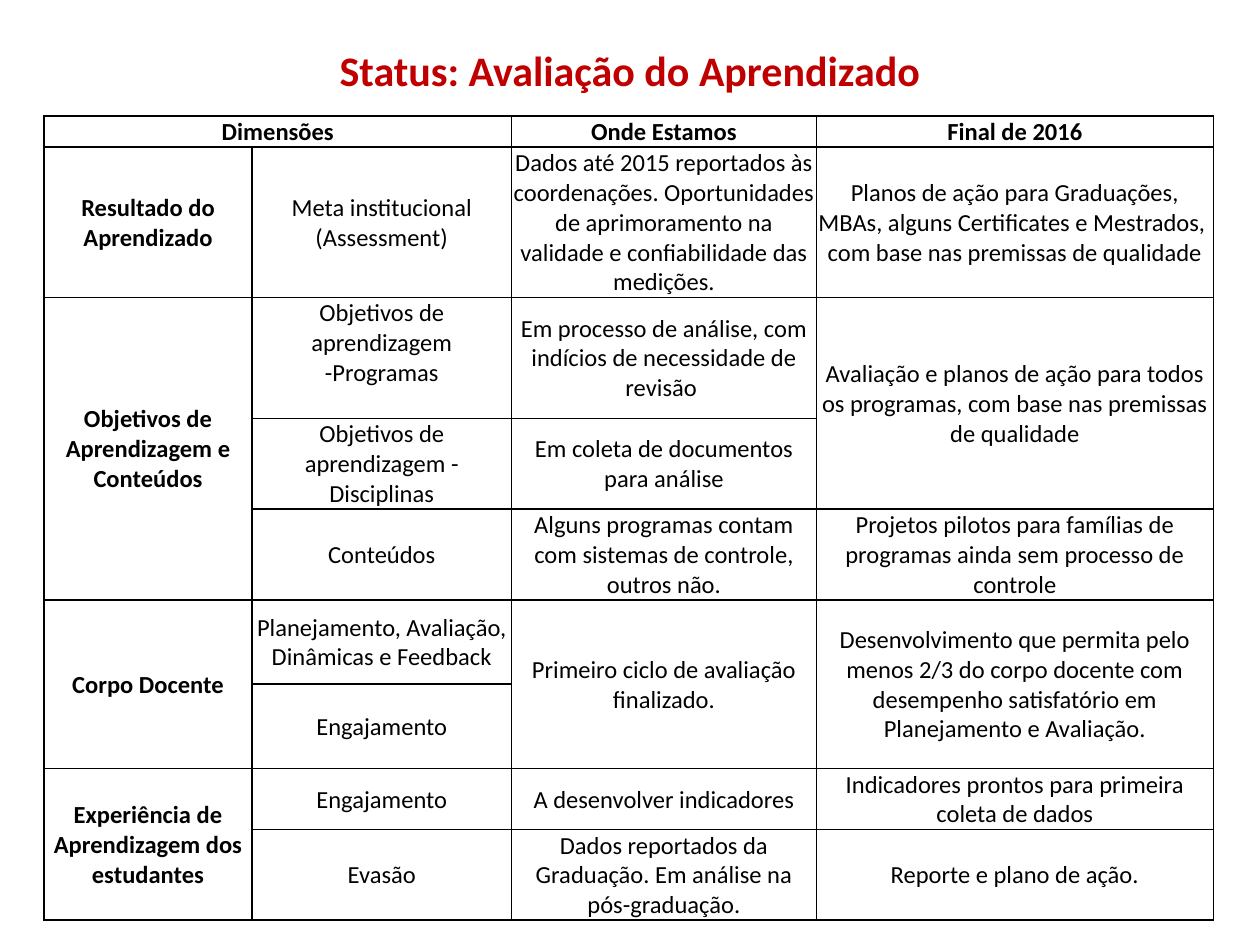
import dataclasses

import lxml.etree
import pptx
import pptx.dml.color
import pptx.enum.text
import pptx.oxml.ns
import pptx.util

COLORS = {"title": "C00000", "text": "000000", "border": "000000"}
FONT = "Calibri"
COLS = [1.65, 2.06, 2.42, 3.15]
ROWS = [0.24, 1.19, 0.95, 0.72, 0.72, 0.67, 0.67, 0.48, 0.72]
LINE_HEIGHT = 0.24


@dataclasses.dataclass
class Entry:
    row: int
    col: int
    text: str
    rows: int = 1
    cols: int = 1
    bottom: float = 0


ENTRIES = [
    Entry(0, 0, "Dimensões", cols=2),
    Entry(0, 2, "Onde Estamos"),
    Entry(0, 3, "Final de 2016"),
    Entry(1, 0, "Resultado do Aprendizado"),
    Entry(1, 1, "Meta institucional (Assessment)"),
    Entry(1, 2, "Dados até 2015 reportados às coordenações. Oportunidades de "
                "aprimoramento na validade e confiabilidade das medições."),
    Entry(1, 3, "Planos de ação para Graduações, MBAs, alguns Certificates e Mestrados, \n"
                "com base nas premissas de qualidade"),
    Entry(2, 0, "Objetivos de Aprendizagem e Conteúdos", rows=3),
    Entry(2, 1, "Objetivos de aprendizagem\v-Programas", bottom=LINE_HEIGHT),
    Entry(2, 2, "Em processo de análise, com indícios de necessidade de revisão "),
    Entry(2, 3, "Avaliação e planos de ação para todos os programas, com base nas "
                "premissas de qualidade", rows=2),
    Entry(3, 1, "Objetivos de aprendizagem - Disciplinas"),
    Entry(3, 2, "Em coleta de documentos para análise"),
    Entry(4, 1, "Conteúdos"),
    Entry(4, 2, "Alguns programas contam com sistemas de controle, outros não."),
    Entry(4, 3, "Projetos pilotos para famílias de programas ainda sem processo de controle"),
    Entry(5, 0, "Corpo Docente", rows=2),
    Entry(5, 1, "Planejamento, Avaliação, Dinâmicas e Feedback"),
    Entry(5, 2, "Primeiro ciclo de avaliação finalizado.", rows=2),
    Entry(5, 3, "Desenvolvimento que permita pelo menos 2/3 do corpo docente com "
                "desempenho satisfatório em Planejamento e Avaliação.", rows=2),
    Entry(6, 1, "Engajamento"),
    Entry(7, 0, "Experiência de Aprendizagem dos estudantes", rows=2),
    Entry(7, 1, "Engajamento"),
    Entry(7, 2, "A desenvolver indicadores"),
    Entry(7, 3, "Indicadores prontos para primeira coleta de dados"),
    Entry(8, 1, "Evasão"),
    Entry(8, 2, "Dados reportados da Graduação. Em análise na pós-graduação."),
    Entry(8, 3, "Reporte e plano de ação."),
]


def write(tf, text: str, *, size: float, color: str, bold: bool = False) -> None:
    tf.word_wrap = True
    tf.text = text
    for p in tf.paragraphs:
        p.alignment = pptx.enum.text.PP_ALIGN.CENTER
        for r in p.runs:
            r.font.name = FONT
            r.font.size = pptx.util.Pt(size)
            r.font.bold = bold
            r.font.color.rgb = pptx.dml.color.RGBColor.from_string(COLORS[color])


def add_borders(cell) -> None:
    qn = pptx.oxml.ns.qn
    props = cell._tc.get_or_add_tcPr()
    for i, side in enumerate(("a:lnL", "a:lnR", "a:lnT", "a:lnB")):
        ln = lxml.etree.Element(qn(side), w=str(pptx.util.Pt(1)))
        fill = lxml.etree.SubElement(ln, qn("a:solidFill"))
        lxml.etree.SubElement(fill, qn("a:srgbClr"), val=COLORS["border"])
        props.insert(i, ln)


def add_status_table(s) -> None:
    inch = pptx.util.Inches
    table = s.shapes.add_table(len(ROWS), len(COLS), inch(0.35), inch(0.92),
                               inch(sum(COLS)), inch(sum(ROWS))).table
    table.first_row = table.horz_banding = False
    for column, width in zip(table.columns, COLS):
        column.width = inch(width)
    for row, height in zip(table.rows, ROWS):
        row.height = inch(height)
    for cell in table.iter_cells():
        cell.margin_left = cell.margin_right = cell.margin_top = inch(0.01)
        cell.margin_bottom = 0
        cell.vertical_anchor = pptx.enum.text.MSO_ANCHOR.MIDDLE
        cell.fill.background()
        add_borders(cell)
    for e in ENTRIES:
        cell = table.cell(e.row, e.col)
        if e.rows * e.cols > 1:
            cell.merge(table.cell(e.row + e.rows - 1, e.col + e.cols - 1))
        cell.margin_bottom = inch(e.bottom)
        write(cell.text_frame, e.text, size=14, color="text", bold=e.row == 0 or e.col == 0)


def add_title(s, text: str) -> None:
    sp = s.shapes.add_textbox(*map(pptx.util.Inches, (0.5, 0.3, 9, 1.95)))
    tf = sp.text_frame
    tf.vertical_anchor = pptx.enum.text.MSO_ANCHOR.TOP
    write(tf, text, size=24, color="title", bold=True)


prs = pptx.Presentation()
prs.slide_width = pptx.util.Inches(10)
prs.slide_height = pptx.util.Inches(7.5)
s = prs.slides.add_slide(prs.slide_layouts[6])
add_status_table(s)
add_title(s, "Status: Avaliação do Aprendizado")
prs.save("out.pptx")
